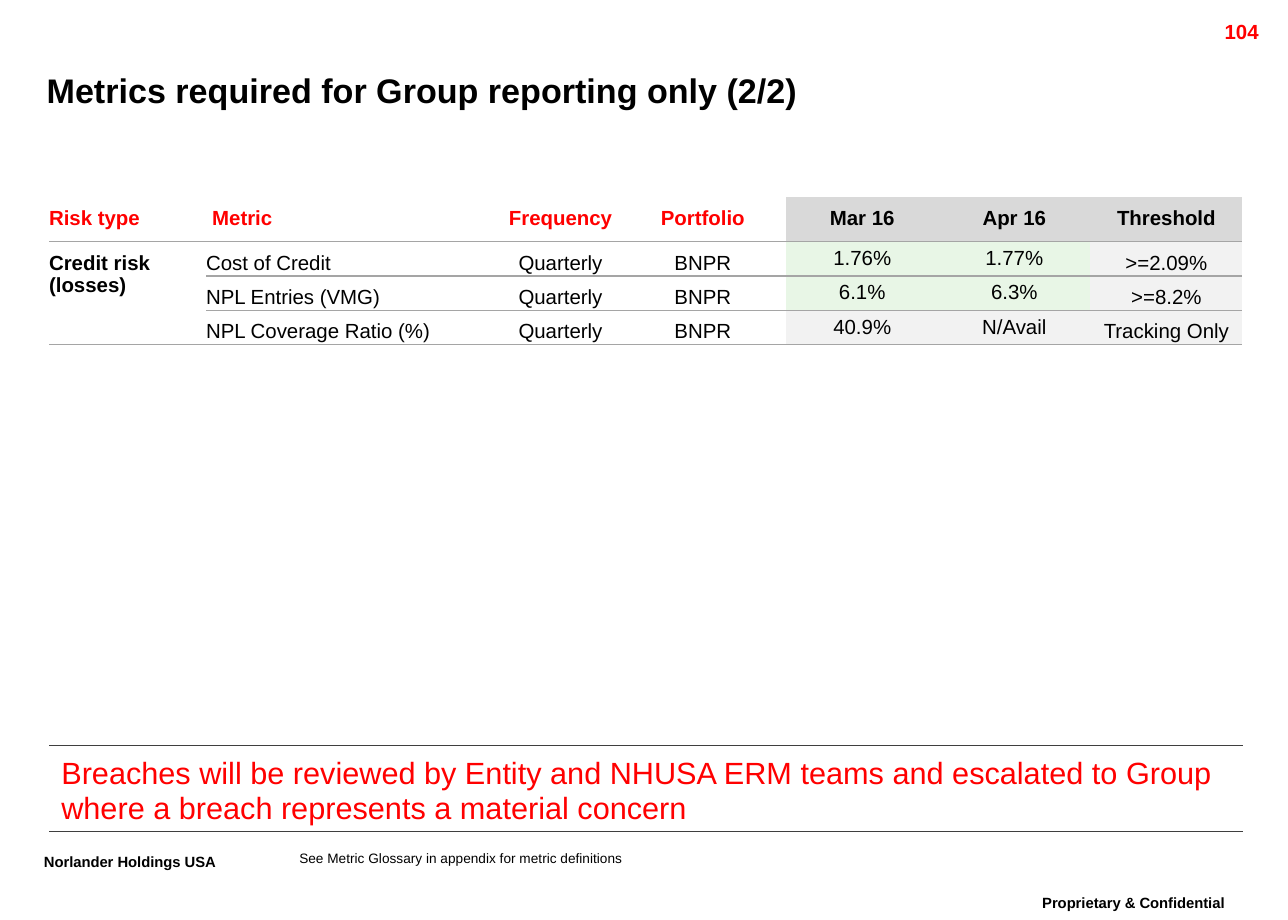
from lxml import etree
from pptx import Presentation
from pptx import util as u
from pptx.dml.color import RGBColor
from pptx.enum import text
from pptx.oxml import ns

PX = 9144
FONT = "Arial"
COLORS = {
    "black": "000000",
    "red": "FF0000",
    "header": "D9D9D9",
    "neutral": "F2F2F2",
    "good": "E8F6E6",
    "rule": "A5A5A5",
    "frame": "3F3F3F",
}
LEFT, CENTER, RIGHT = text.PP_ALIGN.LEFT, text.PP_ALIGN.CENTER, text.PP_ALIGN.RIGHT
TOP, MIDDLE, BOTTOM = text.MSO_ANCHOR.TOP, text.MSO_ANCHOR.MIDDLE, text.MSO_ANCHOR.BOTTOM
PLAIN_TABLE_STYLE = "{2D5ABB26-0587-4C30-8999-92F81FD0307C}"

COLUMNS = [128, 241, 96, 136, 124, 124, 124]
ROWS = [36, 28, 28, 28]
HEADINGS = ["Risk type", "Metric", "Frequency", "Portfolio", "Mar 16", "Apr 16", "Threshold"]
METRICS = [
    ["Cost of Credit", "Quarterly", "BNPR", "1.76%", "1.77%", ">=2.09%"],
    ["NPL Entries (VMG)", "Quarterly", "BNPR", "6.1%", "6.3%", ">=8.2%"],
    ["NPL Coverage Ratio (%)", "Quarterly", "BNPR", "40.9%", "N/Avail", "Tracking Only"],
]
RESULT_FILLS = ["good", "good", "neutral"]


def emu(*lengths):
    return [u.Emu(length * PX) for length in lengths]


def write(paragraph, words, size, color="black", bold=False, align=LEFT, spacing=1.0):
    paragraph.alignment = align
    paragraph.line_spacing = spacing
    run = paragraph.add_run()
    run.text = words
    run.font.name = FONT
    run.font.size = u.Pt(size)
    run.font.bold = bold
    run.font.color.rgb = RGBColor.from_string(COLORS[color])
    return run


def set_margins(target, margins):
    target.margin_left, target.margin_top, target.margin_right, target.margin_bottom = emu(*margins)


def add_label(slide, box, words, size, margins=(10, 5, 10, 5), wrap=True, raised=False, **style):
    shape = slide.shapes.add_textbox(*emu(*box))
    frame = shape.text_frame
    frame.word_wrap = wrap
    set_margins(frame, margins)
    run = write(frame.paragraphs[0], words, size, **style)
    if raised:
        run.font._element.set("baseline", "30000")


def add_title(slide, box, words):
    title = slide.shapes.title
    title.left, title.top, title.width, title.height = emu(*box)
    frame = title.text_frame
    frame.auto_size = text.MSO_AUTO_SIZE.NONE
    frame.vertical_anchor = MIDDLE
    frame.word_wrap = True
    set_margins(frame, (0, 0, 0, 0))
    write(frame.paragraphs[0], words, 20, bold=True)


def add_plain_table(slide, box, columns, rows):
    frame = slide.shapes.add_table(len(rows), len(columns), *emu(*box))
    table = frame.table
    table.first_row = False
    table.horz_banding = False
    table._tbl.tblPr.find(ns.qn("a:tableStyleId")).text = PLAIN_TABLE_STYLE
    for column, width in zip(table.columns, columns):
        column.width = u.Emu(width * PX)
    for row, height in zip(table.rows, rows):
        row.height = u.Emu(height * PX)
    return table


def set_border(cell, side, color):
    line = etree.Element(ns.qn("a:ln" + side), w=str(u.Pt(0.75)))
    fill = etree.SubElement(line, ns.qn("a:solidFill"))
    etree.SubElement(fill, ns.qn("a:srgbClr"), val=COLORS[color])
    cell._tc.get_or_add_tcPr().insert(0, line)


def fill_cell(cell, words, size, margins, anchor, fill=None, **style):
    set_margins(cell, margins)
    cell.vertical_anchor = anchor
    if fill:
        cell.fill.solid()
        cell.fill.fore_color.rgb = RGBColor.from_string(COLORS[fill])
    else:
        cell.fill.background()
    write(cell.text_frame.paragraphs[0], words, size, **style)


def add_metrics(slide, box):
    table = add_plain_table(slide, box, COLUMNS, ROWS)
    for index, heading in enumerate(HEADINGS):
        result = index >= 4
        fill_cell(table.cell(0, index), heading, 12, (5 if index else 0, 5, 5, 5), MIDDLE,
                  fill="header" if result else None, color="black" if result else "red",
                  bold=True, align=CENTER if index > 1 else LEFT, spacing=0.86)
    risk = table.cell(1, 0)
    risk.merge(table.cell(3, 0))
    fill_cell(risk, "Credit risk (losses)", 12, (0, 8, 0, 0), TOP, bold=True)
    for row, (metric, result_fill) in enumerate(zip(METRICS, RESULT_FILLS), 1):
        for column, words in enumerate(metric, 1):
            cell = table.cell(row, column)
            align = LEFT if column == 1 else CENTER
            if column in (4, 5):
                fill_cell(cell, words, 12, (1, 1, 1, 0), MIDDLE,
                          fill=result_fill, align=align, spacing=0.86)
            else:
                fill_cell(cell, words, 12, (0, 8, 0, 0), TOP,
                          fill="neutral" if column == 6 else None, align=align)
    for row in range(len(ROWS)):
        for column in range(len(COLUMNS)):
            if column or row != 2:
                set_border(table.cell(row, column), "B", "rule")


def add_message(slide, box, words):
    table = add_plain_table(slide, box, [box[2]], [box[3]])
    cell = table.cell(0, 0)
    fill_cell(cell, words, 18, (10, 5, 10, 5), BOTTOM, color="red")
    for side in "BT":
        set_border(cell, side, "frame")


def add_footer(slide, box):
    left, top, width, height = box
    add_label(slide, (left, top, 191, 32), "Norlander Holdings USA", 15,
              wrap=False, raised=True, bold=True, spacing=0.86)
    add_label(slide, (left + 218, top + 2, 547, 13),
              "See Metric Glossary in appendix for metric definitions", 8, margins=(0, 0, 0, 0))
    add_label(slide, (left + width - 218, top + height - 32, 218, 32), "Proprietary & Confidential",
              15, raised=True, bold=True, align=CENTER, spacing=0.86)


def main():
    presentation = Presentation()
    presentation.slide_width, presentation.slide_height = emu(1050, 750)
    slide = presentation.slides.add_slide(presentation.slide_layouts[5])
    add_label(slide, (936, 11, 100, 24), "104", 12, color="red", bold=True, align=RIGHT)
    add_title(slide, (38, 49, 948, 48), "Metrics required for Group reporting only (2/2)")
    add_metrics(slide, (40, 161, sum(COLUMNS), sum(ROWS)))
    add_message(slide, (40, 608, 973, 70),
                "Breaches will be reviewed by Entity and NHUSA ERM teams and escalated to Group "
                "where a breach represents a material concern")
    add_footer(slide, (26, 691, 1007, 66))
    presentation.save("out.pptx")


if __name__ == "__main__":
    main()
